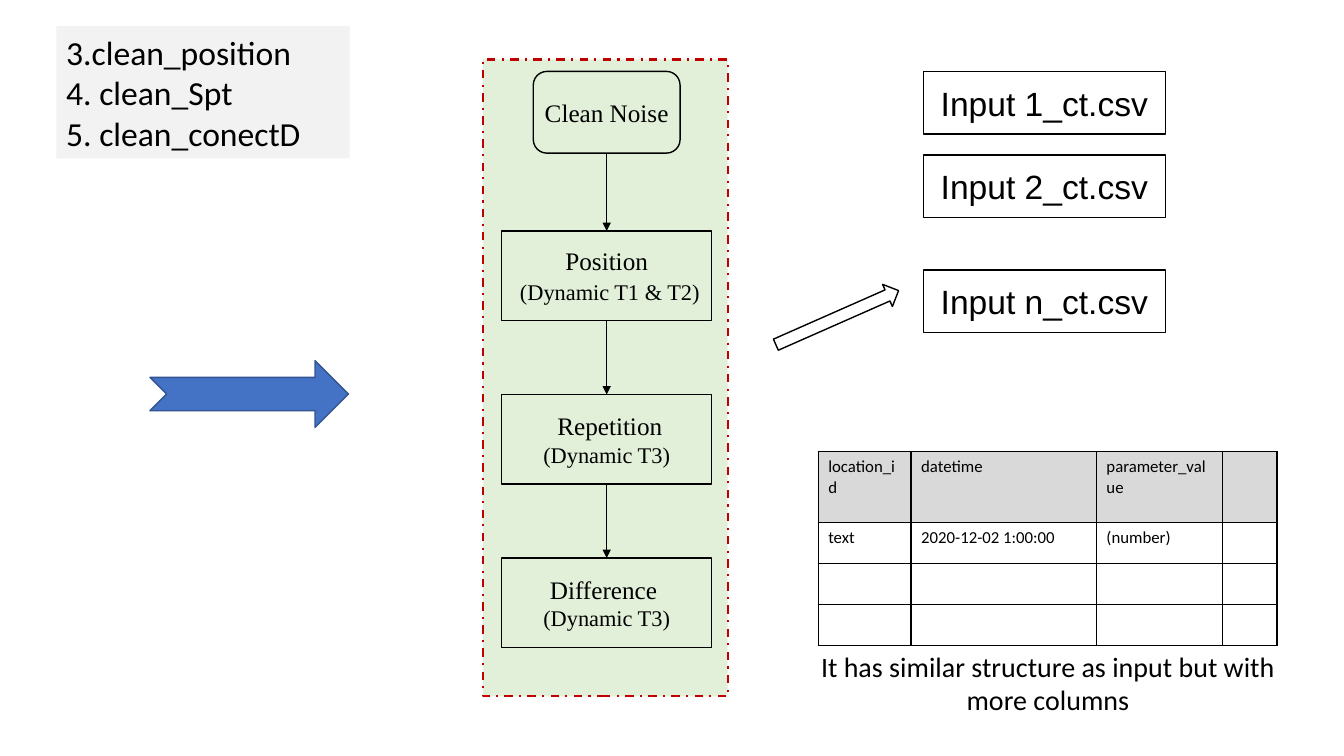
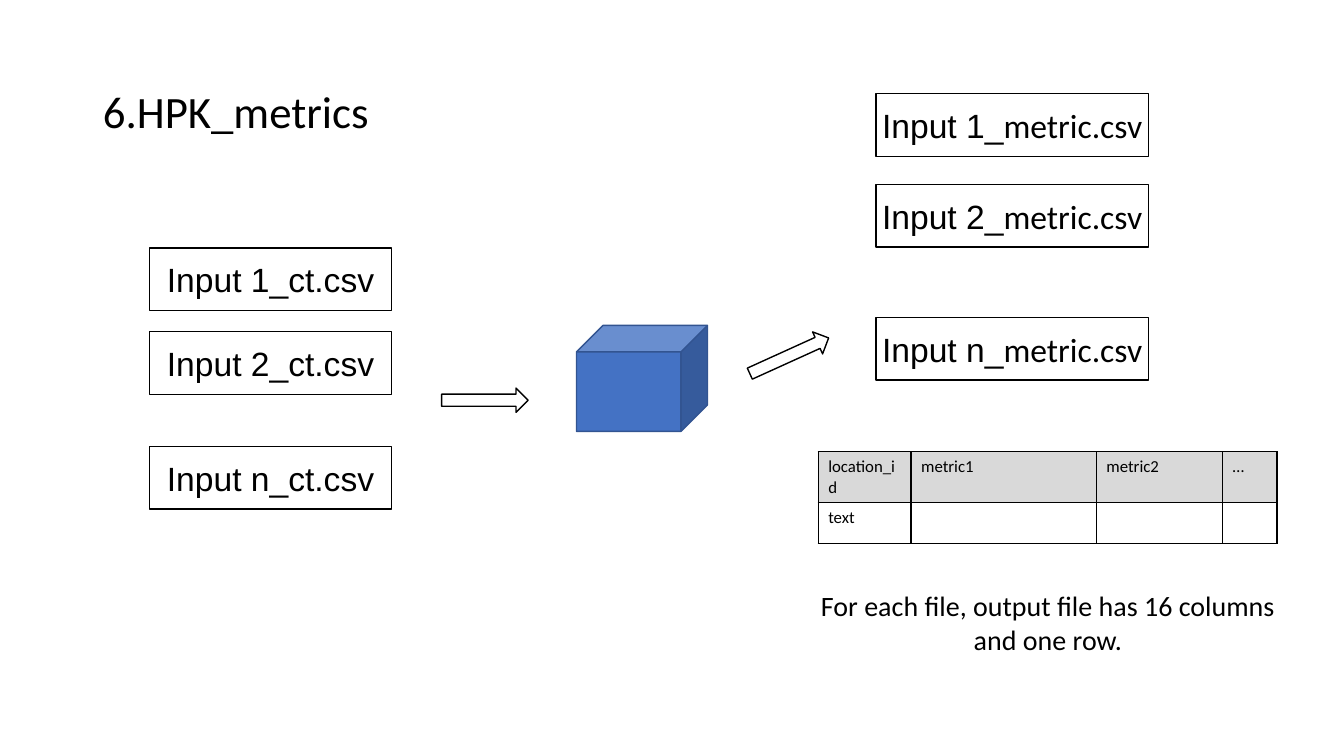
from lxml.etree import SubElement as Sub
from pptx import Presentation
from pptx.dml.color import RGBColor
from pptx.enum.dml import MSO_LINE as Dash
from pptx.enum.shapes import MSO_CONNECTOR as Link, MSO_SHAPE as Kind
from pptx.enum.text import MSO_ANCHOR as Anchor, PP_ALIGN as Align
from pptx.oxml.ns import qn
from pptx.util import Cm, Pt


def color(code):
    return RGBColor.from_string(code)


class Deck:
    black, blue, navy = "000000", "4472C4", "325491"
    green, red, pale, gray = "E2F0D9", "C00000", "F2F2F2", "D9D9D9"
    sans, plain, serif = "Calibri", "Arial", "Times New Roman"
    cols = (2.34, 4.67, 3.18, 1.37)

    def __init__(self):
        self.prs = Presentation()
        self.prs.slide_width, self.prs.slide_height = Cm(33.87), Cm(19.05)

    def page(self, title=None):
        layout = self.prs.slide_layouts[5 if title else 6]
        self.slide = self.prs.slides.add_slide(layout)
        if title:
            head = self.slide.shapes.title
            head.left, head.top = Cm(2.34), Cm(1.02)
            head.width, head.height = Cm(29.21), Cm(3.68)
            head.text_frame.vertical_anchor = Anchor.MIDDLE
            self.label(head.text_frame, [[(title, 32, self.sans)]], Align.LEFT)
            head.text_frame.paragraphs[0].line_spacing = 0.9

    def label(self, frame, lines, align=Align.CENTER):
        for num, line in enumerate(lines):
            para = frame.add_paragraph() if num else frame.paragraphs[0]
            para.alignment = align
            for words, size, face in line:
                run = para.add_run()
                run.text = words
                run.font.size, run.font.name = Pt(size), face
                run.font.color.rgb = color(self.black)

    def shape(self, kind, x, y, w, h, fill=None, line="000000", wide=1, turn=0):
        item = self.slide.shapes.add_shape(kind, Cm(x), Cm(y), Cm(w), Cm(h))
        item.shadow.inherit = False
        item.rotation = turn
        if fill:
            item.fill.solid()
            item.fill.fore_color.rgb = color(fill)
        else:
            item.fill.background()
        if line:
            item.line.color.rgb = color(line)
            item.line.width = Pt(wide)
        else:
            item.line.fill.background()
        return item

    def box(self, x, y, w, h, lines, kind=Kind.RECTANGLE):
        item = self.shape(kind, x, y, w, h)
        frame = item.text_frame
        frame.word_wrap = False
        frame.margin_left = frame.margin_right = 0
        frame.vertical_anchor = Anchor.MIDDLE
        self.label(frame, lines)
        return item

    def files(self, x, y, w, gaps, *tail):
        for mark, gap in zip("12n", gaps):
            first = f"Input {mark}_" + ("" if tail else "ct.csv")
            runs = [(first, 24, self.plain)]
            runs += [(part, 24, self.sans) for part in tail]
            self.box(x, y + gap, w, 1.58, [runs])

    def join(self, start, end):
        link = self.slide.shapes.add_connector(Link.STRAIGHT, 0, 0, 0, 0)
        link.begin_connect(start, 2)
        link.end_connect(end, 0)
        link.line.color.rgb = color(self.black)
        link.line.width = Pt(0.5)
        props = link.element.spPr
        Sub(props.find(qn("a:ln")), qn("a:tailEnd"), type="triangle")
        Sub(props, qn("a:effectLst"))

    def note(self, y, words):
        item = self.slide.shapes.add_textbox(Cm(20.02), Cm(y), Cm(12.78), Cm(1.96))
        item.text_frame.word_wrap = True
        self.label(item.text_frame, [[(words, 20, self.sans)]])

    def edge(self, cell):
        props = cell._tc.get_or_add_tcPr()
        for side in "LRTB":
            line = Sub(props, qn(f"a:ln{side}"), w=str(Pt(1)))
            Sub(Sub(line, qn("a:solidFill")), qn("a:srgbClr"), val=self.black)

    def table(self, rows, high):
        tall = [high] + [1.03] * (len(rows) - 1)
        grid = self.slide.shapes.add_table(
            len(rows), len(self.cols), Cm(20.62), Cm(11.38),
            Cm(sum(self.cols)), Cm(sum(tall))).table
        grid.first_row = grid.horz_banding = False
        for col, w in zip(grid.columns, self.cols):
            col.width = Cm(w)
        for r, (row, h) in enumerate(zip(rows, tall)):
            grid.rows[r].height = Cm(h)
            for c, words in enumerate(row):
                cell = grid.cell(r, c)
                self.edge(cell)
                if r:
                    cell.fill.background()
                else:
                    cell.fill.solid()
                    cell.fill.fore_color.rgb = color(self.gray)
                if words:
                    self.label(cell.text_frame, [[(words, 12, self.sans)]], Align.LEFT)


def clean(deck):
    deck.page()
    panel = deck.shape(Kind.RECTANGLE, 12.17, 1.5, 6.17, 16.05, deck.green, deck.red, 1.5)
    panel.line.dash_style = Dash.DASH_DOT
    face = deck.serif
    last = deck.box(13.44, 1.8, 3.7, 2.06, [[("Clean Noise", 18, face)]],
                    Kind.ROUNDED_RECTANGLE)
    steps = (
        ("Position", [(" ", 18, face), ("(Dynamic T1 & T2)", 16, face)]),
        (" Repetition", [("(Dynamic T3)", 16, face)]),
        ("Difference ", [("(Dynamic T3)", 16, face)]),
    )
    for num, (name, rule) in enumerate(steps):
        step = deck.box(12.64, 5.82 + 4.12 * num, 5.3, 2.26, [[(name, 18, face)], rule])
        deck.join(last, step)
        last = step
    deck.files(23.27, 1.8, 6.1, (0, 2.11, 5))
    deck.shape(Kind.NOTCHED_RIGHT_ARROW, 3.78, 9.09, 5, 1.68, deck.blue, deck.navy)
    tasks = deck.shape(Kind.RECTANGLE, 1.42, 0.66, 7.39, 3.33, deck.pale, None)
    names = ("3.clean_position", "4. clean_Spt", "5. clean_conectD")
    deck.label(tasks.text_frame, [[(name, 24, deck.sans)] for name in names], Align.LEFT)
    deck.shape(Kind.RIGHT_ARROW, 19.41, 7.7, 3.38, 0.61, turn=336.2)
    blank = ("",) * 4
    deck.table([("location_id", "datetime", "parameter_value", ""),
                ("text", "2020-12-02 1:00:00", "(number)", ""), blank, blank], 1.79)
    deck.note(16.23, "It has similar structure as input but with more columns")


def metrics(deck):
    deck.page("6.HPK_metrics")
    deck.files(3.77, 6.25, 6.1, (0, 2.11, 5))
    deck.shape(Kind.CUBE, 14.53, 8.2, 3.3, 2.67, deck.blue, deck.navy)
    deck.shape(Kind.RIGHT_ARROW, 11.13, 9.78, 2.18, 0.61)
    deck.files(22.08, 2.36, 6.86, (0, 2.29, 5.64), "metric.csv")
    deck.table([("location_id", "metric1", "metric2", "…"), ("text", "", "", "")], 1.28)
    deck.note(14.71, "For each file, output file has 16 columns and one row.")
    deck.shape(Kind.RIGHT_ARROW, 18.8, 8.66, 2.18, 0.61, turn=335.6)


def main():
    deck = Deck()
    clean(deck)
    metrics(deck)
    deck.prs.save("out.pptx")


if __name__ == "__main__":
    main()
